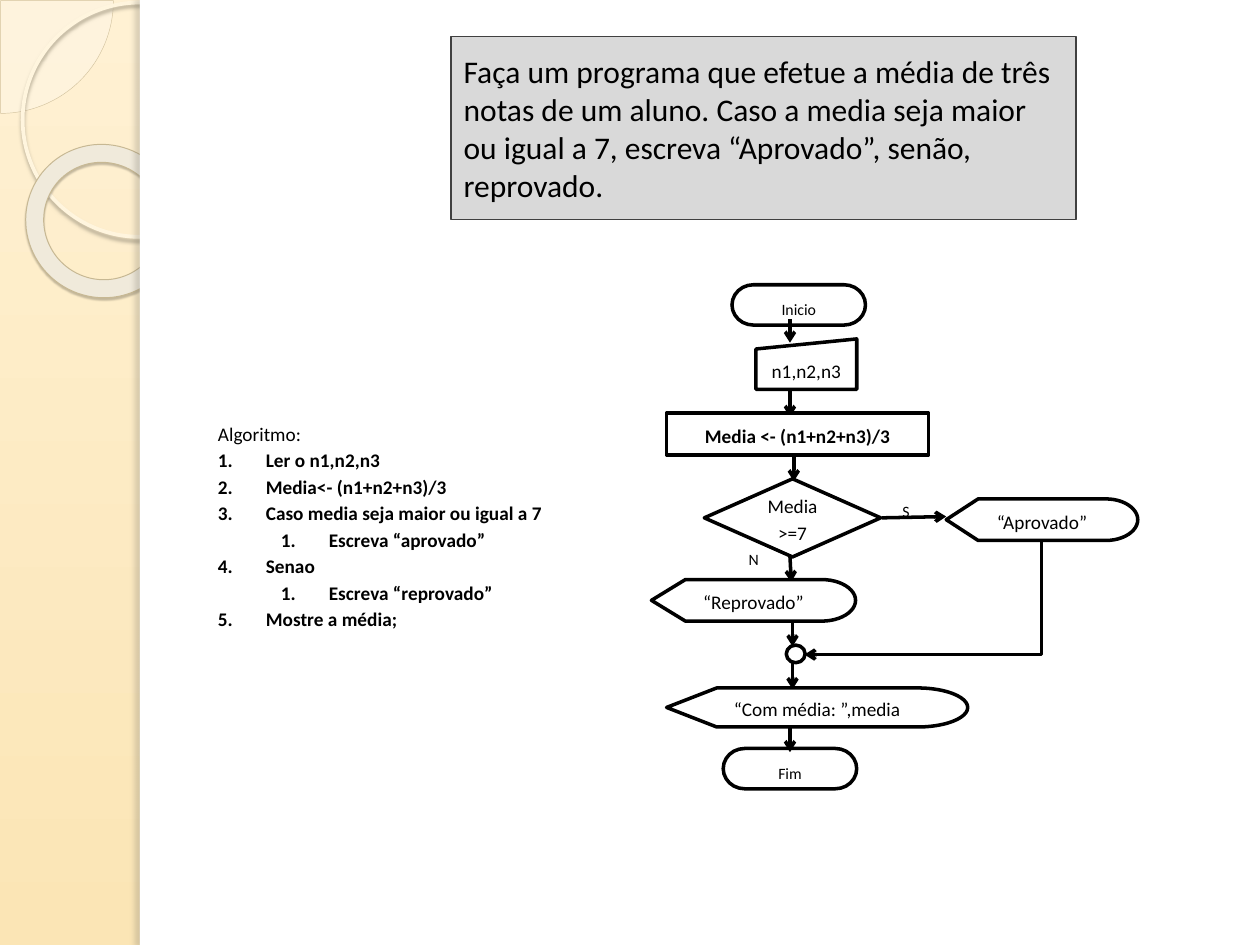
from lxml.etree import SubElement
from pptx import Presentation
from pptx.dml.color import RGBColor
from pptx.enum.shapes import MSO_CONNECTOR, MSO_SHAPE
from pptx.enum.text import MSO_ANCHOR, PP_ALIGN
from pptx.oxml.ns import qn
from pptx.util import Inches, Pt

BLACK, WHITE = "000000", "FFFFFF"
TASK = ("Faça um programa que efetue a média de três notas de um aluno. "
        "Caso a media seja maior ou igual a 7, escreva “Aprovado”, "
        "senão, reprovado.")
LIST = [
    (0, "Ler o n1,n2,n3"),
    (0, "Media<- (n1+n2+n3)/3"),
    (0, "Caso media seja maior ou igual a 7"),
    (1, "Escreva “aprovado”"),
    (0, "Senao"),
    (1, "Escreva “reprovado”"),
    (0, "Mostre a média;"),
]
ENDS = [("Inicio", 5.81, 2.26), ("Fim", 5.74, 5.94)]
STEPS = [
    (MSO_SHAPE.FLOWCHART_MANUAL_INPUT, (6, 2.69, 0.8, 0.4), "n1,n2,n3", False),
    (MSO_SHAPE.RECTANGLE, (5.29, 3.28, 2.08, 0.33), "Media <- (n1+n2+n3)/3", True),
    (MSO_SHAPE.FLOWCHART_DECISION, (5.59, 3.8, 1.4, 0.62), "Media >=7", False),
    (MSO_SHAPE.FLOWCHART_DISPLAY, (7.51, 3.96, 1.52, 0.33), "“Aprovado”", False),
    (MSO_SHAPE.FLOWCHART_DISPLAY, (5.17, 4.6, 1.62, 0.33), "“Reprovado”", False),
    (MSO_SHAPE.FLOWCHART_DISPLAY, (5.29, 5.46, 2.39, 0.31), "“Com média: ”,media", False),
]
ARROWS = [
    (6.27, 2.53, 6.27, 2.72),
    (6.27, 3.1, 6.27, 3.31),
    (6.3, 3.61, 6.3, 3.82),
    (7, 4.11, 7.51, 4.1),
    (6.27, 4.42, 6.28, 4.62),
    (6.29, 4.93, 6.29, 5.13),
    (6.29, 5.26, 6.29, 5.47),
    (6.27, 5.75, 6.27, 5.97),
]


def tint(color, code):
    color.rgb = RGBColor.from_string(code)


def place(shape, box):
    shape.left, shape.top, shape.width, shape.height = map(Inches, box)


def paint(shape, fill=None, line=None, width=2):
    if fill:
        shape.fill.solid()
        tint(shape.fill.fore_color, fill)
    else:
        shape.fill.background()
    if line:
        tint(shape.line.color, line)
        shape.line.width = Pt(width)
    else:
        shape.line.fill.background()


def draw(shapes, kind, box, fill=None, line=None, width=2):
    shape = shapes.add_shape(kind, *map(Inches, box))
    shape.shadow.inherit = False
    paint(shape, fill, line, width)
    return shape


def write(par, text, size, bold=False, space=1.15, after=0, align=PP_ALIGN.LEFT):
    par.alignment = align
    par.line_spacing = space
    par.space_before, par.space_after = Pt(0), Pt(after)
    run = par.add_run()
    run.text = text
    run.font.name, run.font.size, run.font.bold = "Calibri", Pt(size), bold
    tint(run.font.color, BLACK)


def shade(shape, code, alpha, blur, dist, angle):
    root = shape._element.spPr.find(qn("a:effectLst"))
    node = SubElement(root, qn("a:outerShdw"), blurRad=str(Pt(blur)),
                      dist=str(Pt(dist)), dir=str(angle * 60000), rotWithShape="0")
    color = SubElement(node, qn("a:srgbClr"), val=code)
    SubElement(color, qn("a:alpha"), val=str(alpha * 1000))


def link(shapes, ends, kind=MSO_CONNECTOR.STRAIGHT):
    line = shapes.add_connector(kind, *map(Inches, ends))
    tint(line.line.color, BLACK)
    line.line.width = Pt(2)
    SubElement(line.line._get_or_add_ln(), qn("a:tailEnd"), type="arrow")
    SubElement(line._element.spPr, qn("a:effectLst"))
    return line


def bend(shapes, ends):
    line = link(shapes, ends, MSO_CONNECTOR.ELBOW)
    props = line._element.spPr
    props.find(qn("a:xfrm")).set("rot", "5400000")
    props.find(qn("a:prstGeom")).set("prst", "bentConnector2")


def step(shapes, kind, box, text, bold):
    shape = draw(shapes, kind, box, WHITE, BLACK)
    frame = shape.text_frame
    frame.word_wrap, frame.vertical_anchor = True, MSO_ANCHOR.MIDDLE
    write(frame.paragraphs[0], text, 11, bold, after=10, align=PP_ALIGN.CENTER)


def cap(shapes, text, left, top):
    shape = draw(shapes, MSO_SHAPE.FLOWCHART_TERMINATOR, (left, top, 1.06, 0.32), None, BLACK)
    frame = shape.text_frame
    frame.word_wrap, frame.vertical_anchor = True, MSO_ANCHOR.TOP
    write(frame.paragraphs[0], text, 9, align=PP_ALIGN.CENTER)


def label(shapes, text, left, top):
    frame = shapes.add_textbox(*map(Inches, (left, top, 0.19, 0.19))).text_frame
    frame.word_wrap = True
    write(frame.paragraphs[0], text, 9, after=10)


def decor(slide):
    fill = slide.background.fill
    fill.gradient()
    fill.gradient_angle = 270
    for stop, code in zip(fill.gradient_stops, ("FFF1D3", "FBE5B5")):
        tint(stop.color, code)
    shapes = slide.shapes
    pie = draw(shapes, MSO_SHAPE.PIE, (-0.89, -0.89, 1.79, 1.79), "FEFAF4", "D3C39F", 0.25)
    pie.adjustments[0], pie.adjustments[1] = 0, 54
    color = pie._element.spPr.find(qn("a:solidFill"))[0]
    SubElement(color, qn("a:alpha"), val="33000")
    ring = draw(shapes, MSO_SHAPE.OVAL, (0.18, 0.02, 1.86, 1.86), None, "FFF5DE", 2.15)
    shade(ring, "B0A68F", 85, 2, 2, 90)
    donut = draw(shapes, MSO_SHAPE.DONUT, (0.2, 1.15, 1.23, 1.21), "F0EADB", "C7B893", 0.58)
    donut.adjustments[0] = 0.118
    donut.rotation = 38.6
    shade(donut, "5A5444", 35, 1, 1.2, 75)
    draw(shapes, MSO_SHAPE.RECTANGLE, (1.11, 0, 8.89, 7.5), WHITE)
    edge = draw(shapes, MSO_SHAPE.RECTANGLE, (1.11, 0, 0.08, 7.5), WHITE)
    shade(edge, "736F63", 25, 3, 3, 180)


def head(slide):
    title = slide.shapes.title
    slide.shapes._spTree.append(title._element)
    place(title, (3.58, 0.29, 4.96, 1.45))
    geom = SubElement(title._element.spPr, qn("a:prstGeom"), prst="roundRect")
    SubElement(geom, qn("a:avLst"))
    paint(title, "D9D9D9", "404040", 0.75)
    title.text_frame.vertical_anchor = MSO_ANCHOR.MIDDLE
    write(title.text_frame.paragraphs[0], TASK, 18, space=1)


def mark(par, indent, hang, number):
    props = par._p.get_or_add_pPr()
    props.set("marL", str(Inches(indent)))
    props.set("indent", str(Inches(-hang)))
    if number:
        SubElement(props, qn("a:buFont"), typeface="+mj-lt")
        SubElement(props, qn("a:buAutoNum"), type="arabicPeriod")
    else:
        SubElement(props, qn("a:buNone"))


def steps(slide):
    body = slide.placeholders[1]
    slide.shapes._spTree.append(body._element)
    place(body, (1.63, 3.27, 2.87, 1.82))
    frame = body.text_frame
    write(frame.paragraphs[0], "Algoritmo:", 11)
    mark(frame.paragraphs[0], 0, 0, False)
    for level, text in LIST:
        par = frame.add_paragraph()
        par.level = level
        write(par, text, 11, True)
        mark(par, 0.38 + 0.5 * level, 0.38, True)


def chart(slide):
    shapes = slide.shapes.add_group_shape().shapes
    for ends in ARROWS:
        link(shapes, ends)
    bend(shapes, (6.87, 3.8, 7.78, 5.68))
    for item in ENDS:
        cap(shapes, *item)
    for item in STEPS:
        step(shapes, *item)
    draw(shapes, MSO_SHAPE.FLOWCHART_CONNECTOR, (6.24, 5.12, 0.15, 0.14), WHITE, BLACK)
    label(shapes, "S", 7.07, 3.91)
    label(shapes, "N", 5.85, 4.29)


def main():
    deck = Presentation()
    deck.slide_width, deck.slide_height = Inches(10), Inches(7.5)
    slide = deck.slides.add_slide(deck.slide_layouts[1])
    decor(slide)
    head(slide)
    steps(slide)
    chart(slide)
    deck.save("out.pptx")


if __name__ == "__main__":
    main()
